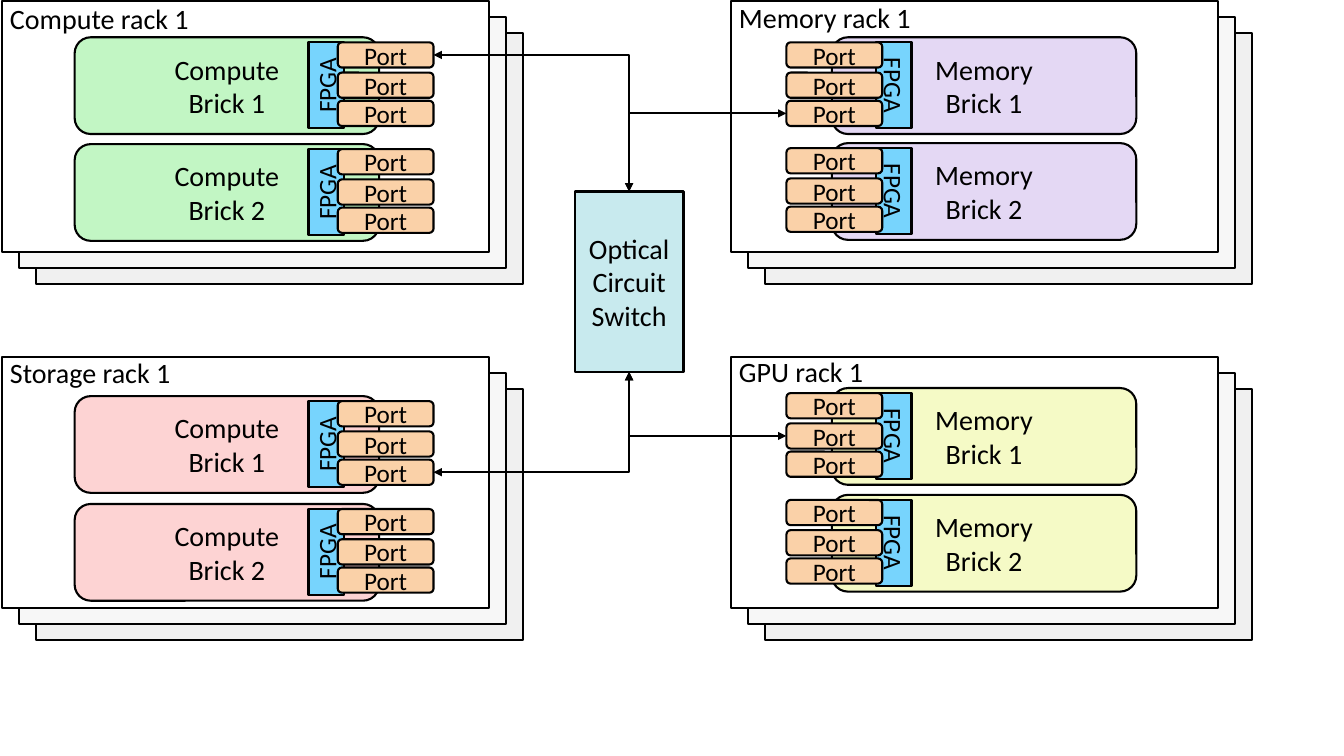
import pptx
import pptx.dml.color
import pptx.enum.shapes
import pptx.enum.text
import pptx.oxml
import pptx.oxml.ns
import pptx.util

PX = 9144  # 100 px to the inch
RECTANGLE = pptx.enum.shapes.MSO_SHAPE.RECTANGLE
ROUNDED = pptx.enum.shapes.MSO_SHAPE.ROUNDED_RECTANGLE
TOP, LEFT, BOTTOM, RIGHT = range(4)  # connection sites of a box


def color(value):
    return pptx.dml.color.RGBColor.from_string(value)


def add_box(shapes, kind, box, fill, text="", size=20):
    """Add an outlined box with centred black text."""
    shape = shapes.add_shape(kind, *(length * PX for length in box))
    shape.shadow.inherit = False
    shape.fill.solid()
    shape.fill.fore_color.rgb = color(fill)
    shape.line.color.rgb = color("000000")
    shape.line.width = pptx.util.Pt(1.5)
    shape.text_frame.text = text
    shape.text_frame.vertical_anchor = pptx.enum.text.MSO_ANCHOR.MIDDLE
    for paragraph in shape.text_frame.paragraphs:
        paragraph.alignment = pptx.enum.text.PP_ALIGN.CENTER
        paragraph.font.name = "Calibri"
        paragraph.font.size = pptx.util.Pt(size)
        paragraph.font.color.rgb = color("000000")
    return shape


presentation = pptx.Presentation()
presentation.slide_width = 1333 * PX
presentation.slide_height = 750 * PX
slide = presentation.slides.add_slide(presentation.slide_layouts[6])

# label, label top and width, rack left and top, brick name, brick fill, brick tops
racks = [
    ("Compute rack 1", -3, 199, 2, 1, "Compute", "C2F6C4", (37, 143)),
    ("Memory rack 1", -4, 192, 725, 1, "Memory", "E4D8F4", (37, 142)),
    ("GPU rack 1", 347, 145, 725, 354, "Memory", "F5FAC6", (385, 491)),
    ("Storage rack 1", 348, 181, 2, 354, "Compute", "FDD3D3", (393, 500)),
]
# brick left, FPGA left, FPGA rotation, port left
left_side = (74, 281, 270, 335)
right_side = (825, 844, 90, 780)
ports = {}

for label, label_top, label_width, rack_left, rack_top, name, fill, brick_tops in racks:
    rack_group = slide.shapes.add_group_shape()
    for depth, shade in ((2, "F0F0F0"), (1, "F7F7F7"), (0, "FFFFFF")):
        add_box(rack_group.shapes, RECTANGLE,
                (rack_left + 17 * depth, rack_top + 16 * depth, 483, 249), shade)

    label_box = slide.shapes.add_textbox(
        (rack_left - 2) * PX, label_top * PX, label_width * PX, 44 * PX)
    label_box.text_frame.word_wrap = False
    label_box.text_frame.auto_size = pptx.enum.text.MSO_AUTO_SIZE.SHAPE_TO_FIT_TEXT
    label_box.text_frame.text = label
    font = label_box.text_frame.paragraphs[0].font
    font.name = "Calibri"
    font.size = pptx.util.Pt(20)
    font.color.rgb = color("000000")

    side = left_side if rack_left == 2 else right_side
    brick_left, fpga_left, fpga_rotation, port_left = side
    for number, top in enumerate(brick_tops, start=1):
        brick = slide.shapes.add_group_shape().shapes
        add_box(brick, ROUNDED, (brick_left, top, 302, 96), fill,
                f"{name}\nBrick {number}")
        fpga = add_box(brick, RECTANGLE, (fpga_left, top + 30, 85, 35),
                       "77D4FD", "FPGA", 18)
        fpga.rotation = fpga_rotation
        for row, offset in enumerate((5, 35, 63), start=1):
            ports[label, number, row] = add_box(
                brick, ROUNDED, (port_left, top + offset, 95, 25),
                "FAD1A8", "Port", 18)

switch = add_box(slide.shapes, RECTANGLE, (570, 190, 108, 179), "C8EAEE",
                 "Optical Circuit Switch")

links = [
    ("Compute rack 1", 1, RIGHT, TOP),
    ("Memory rack 1", 3, LEFT, TOP),
    ("GPU rack 1", 2, LEFT, BOTTOM),
    ("Storage rack 1", 3, RIGHT, BOTTOM),
]
for rack, row, port_site, switch_site in links:
    link = slide.shapes.add_connector(
        pptx.enum.shapes.MSO_CONNECTOR.ELBOW, 0, 0, 0, 0)
    link.begin_connect(ports[rack, 1, row], port_site)
    link.end_connect(switch, switch_site)
    link.line.color.rgb = color("000000")
    link.line.width = pptx.util.Pt(1.5)
    properties = link._element.spPr
    properties.find(pptx.oxml.ns.qn("a:prstGeom")).set("prst", "bentConnector2")
    line = link.line._get_or_add_ln()
    for end in ("a:headEnd", "a:tailEnd"):
        arrowhead = pptx.oxml.parse_xml(f'<{end} {pptx.oxml.ns.nsdecls("a")} type="triangle"/>')
        line.append(arrowhead)
    properties.append(pptx.oxml.parse_xml(f'<a:effectLst {pptx.oxml.ns.nsdecls("a")}/>'))

presentation.save("out.pptx")
